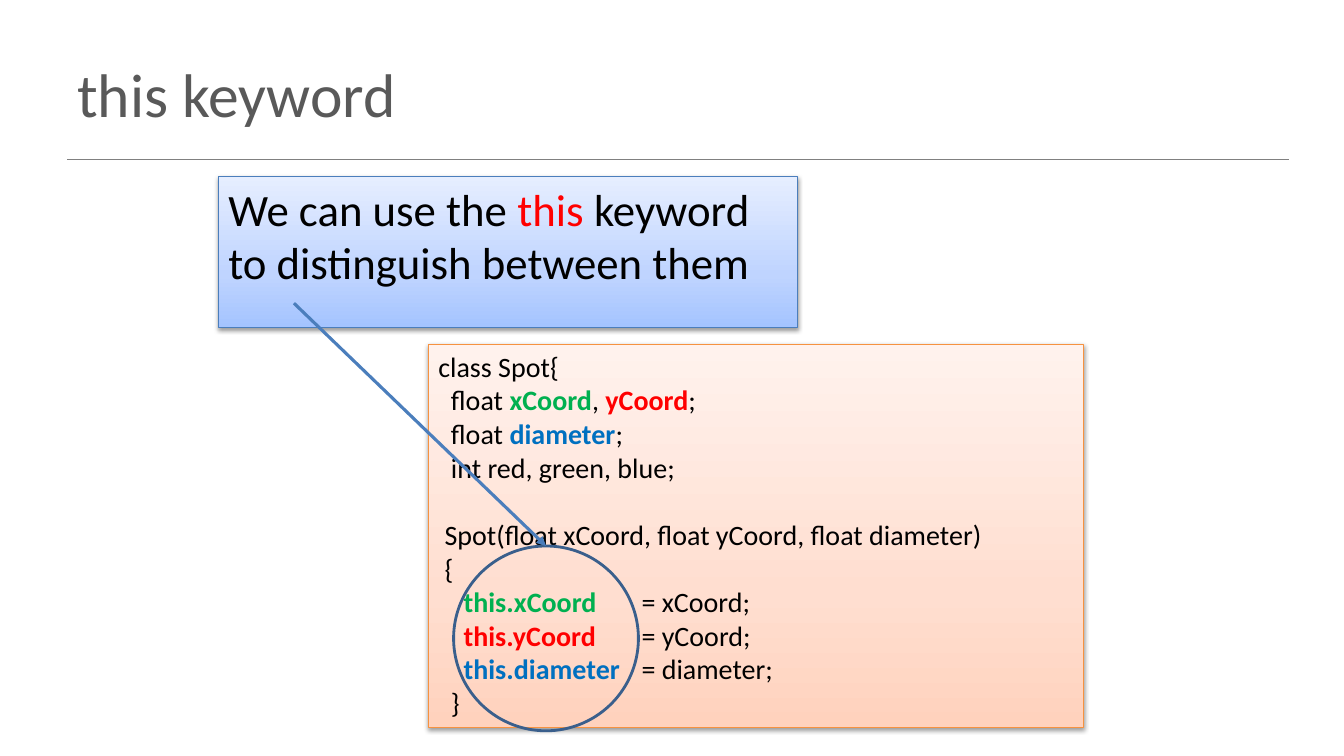
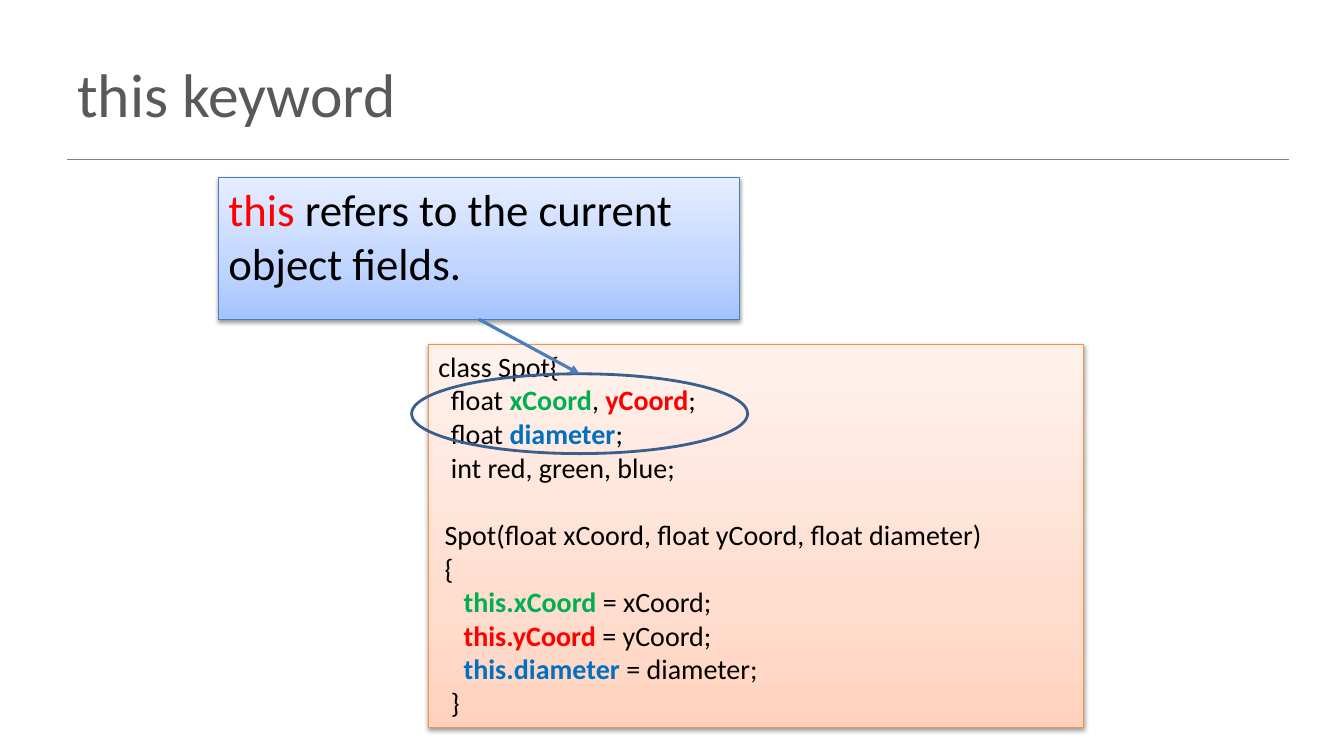
import copy
import dataclasses

import lxml.etree
import pptx
import pptx.dml.color
import pptx.enum.shapes
import pptx.enum.text
import pptx.oxml.ns
import pptx.util

SHAPE = pptx.enum.shapes.MSO_SHAPE
ANCHOR = pptx.enum.text.MSO_ANCHOR
COLUMNS, ROWS = 160, 90  # the slide as a grid of twelfths of an inch
CELL = pptx.util.Inches(1 / 12)


@dataclasses.dataclass(frozen=True)
class Theme:
    font: str = "Calibri"
    title_size: int = 44
    callout_size: int = 32
    code_size: int = 20
    title: str = "595959"
    rule: str = "808080"
    text: str = "000000"
    green: str = "00B050"
    red: str = "FF0000"
    blue: str = "0070C0"
    arrow: str = "4B7EBC"
    ring: str = "3A5F8C"
    code_line: str = "F69240"
    code_fill: tuple = ("FFD2BD", "FFDED0", "FFF2ED")
    callout_fill: tuple = ("A4C4FF", "BFD4FF", "E6EEFF")
    fill_positions: tuple = (0, 0.35, 1)


THEME = Theme()


def rgb(colour):
    return pptx.dml.color.RGBColor.from_string(colour)


def cells(*counts):
    return [round(count * CELL) for count in counts]


def add_xml(parent, tag, **attributes):
    return lxml.etree.SubElement(parent, pptx.oxml.ns.qn(tag), **attributes)


class SlideBuilder:
    """Holds the theme and the current slide; places are in grid cells."""

    def __init__(self, deck, theme):
        self.deck, self.theme, self.page = deck, theme, None

    def new_page(self, title):
        self.page = self.deck.slides.add_slide(self.deck.slide_layouts[5])
        box = self.page.shapes.title
        box.left, box.top, box.width, box.height = cells(8, 3.6, 144, 15)
        box.text_frame.vertical_anchor = ANCHOR.MIDDLE
        para = box.text_frame.paragraphs[0]
        para.alignment = pptx.enum.text.PP_ALIGN.LEFT
        self.span(para, title, self.theme.title_size, self.theme.title)
        self.line((8, 19), (153.4, 19), self.theme.rule, 1)

    def span(self, para, text, size, colour, bold=False):
        span = para.add_run()
        span.text = text
        span.font.name = self.theme.font
        span.font.size = pptx.util.Pt(size)
        span.font.bold = bold
        span.font.color.rgb = rgb(colour)

    def line(self, start, end, colour, width):
        line = self.page.shapes.add_connector(
            pptx.enum.shapes.MSO_CONNECTOR.STRAIGHT, *cells(*start, *end))
        line.line.color.rgb = rgb(colour)
        line.line.width = pptx.util.Pt(width)
        add_xml(line._element.spPr, "a:effectLst")
        return line

    def arrow(self, start, target, source=None):
        """Points at the top of target, from a place or the bottom of source."""
        arrow = self.line(start, start, self.theme.arrow, 2.25)
        if source is not None:
            arrow.begin_connect(source, 2)
        arrow.end_connect(target, 0)
        add_xml(arrow.line._get_or_add_ln(), "a:tailEnd", type="triangle")

    def shape(self, kind, place, colour, width):
        shape = self.page.shapes.add_shape(kind, *cells(*place))
        shape.shadow.inherit = False
        shape.line.color.rgb = rgb(colour)
        shape.line.width = pptx.util.Pt(width)
        return shape

    def ring(self, *place):
        ring = self.shape(SHAPE.OVAL, place, self.theme.ring, 2)
        ring.fill.background()
        return ring

    def panel(self, place, colour, fill):
        """A rectangle with a three-stop gradient and a soft shadow."""
        box = self.shape(SHAPE.RECTANGLE, place, colour, 0.75)
        box.fill.gradient()
        box.fill.gradient_angle = 90
        properties = box._element.spPr
        stops = properties.find(".//" + pptx.oxml.ns.qn("a:gsLst"))
        stops.append(copy.deepcopy(stops[-1]))
        for stop, shade, position in zip(
                box.fill.gradient_stops, fill, self.theme.fill_positions):
            stop.color.rgb = rgb(shade)
            stop.position = position
        shadow = add_xml(
            properties.find(pptx.oxml.ns.qn("a:effectLst")), "a:outerShdw",
            blurRad="40000", dist="20000", dir="5400000", rotWithShape="0")
        black = add_xml(shadow, "a:srgbClr", val=self.theme.text)
        add_xml(black, "a:alpha", val="38000")
        box.text_frame.word_wrap = True
        box.text_frame.vertical_anchor = ANCHOR.TOP
        return box

    def add_lines(self, box, lines, size, bold_colours=False):
        """Each line is a list of (text, colour); an empty line is a gap."""
        frame = box.text_frame
        para, gap = None, False
        for line in lines:
            if not line:
                gap = True
                continue
            para = frame.add_paragraph() if para else frame.paragraphs[0]
            para.alignment = pptx.enum.text.PP_ALIGN.LEFT
            if gap:
                para.space_before = pptx.util.Pt(size * 1.2)
                gap = False
            if any("\t" in text for text, _ in line):
                tabs = add_xml(para._p.get_or_add_pPr(), "a:tabLst")
                add_xml(tabs, "a:tab", pos=str(cells(24.2)[0]), algn="l")
            for text, colour in line:
                bold = bold_colours and colour != self.theme.text
                self.span(para, text, size, colour, bold)

    def callout(self, place, spans):
        box = self.panel(place, self.theme.arrow, self.theme.callout_fill)
        self.add_lines(box, [spans], self.theme.callout_size)
        return box

    def code(self, lines):
        box = self.panel((51, 41, 78, 45.6), self.theme.code_line,
                         self.theme.code_fill)
        self.add_lines(box, lines, self.theme.code_size, bold_colours=True)


def spot_class(gap):
    """The class listing, with gap between each field and its equals sign."""
    plain = THEME.text
    fields = {"xCoord": THEME.green, "yCoord": THEME.red,
              "diameter": THEME.blue}
    assignments = [
        [("    ", plain), (f"this.{name}", colour),
         (f"{gap}= {name};", plain)]
        for name, colour in fields.items()]
    return [
        [("class Spot{", plain)],
        [("  float ", plain), ("xCoord", fields["xCoord"]), (", ", plain),
         ("yCoord", fields["yCoord"]), (";", plain)],
        [("  float ", plain), ("diameter", fields["diameter"]),
         (";", plain)],
        [("  int red, green, blue;", plain)],
        [],
        [(" Spot(float xCoord, float yCoord, float diameter)", plain)],
        [(" {", plain)],
        *assignments,
        [("  }", plain)],
    ]


def main():
    deck = pptx.Presentation()
    deck.slide_width, deck.slide_height = cells(COLUMNS, ROWS)
    builder = SlideBuilder(deck, THEME)
    keyword = ("this", THEME.red)

    # Telling fields and parameters apart
    builder.new_page("this keyword")
    builder.code(spot_class(gap="\t"))
    builder.callout((26, 21, 69, 18), [
        ("We can use the ", THEME.text), keyword,
        (" keyword to distinguish between them", THEME.text)])
    assigned = builder.ring(54, 65, 22, 22)
    builder.arrow((35, 36.1), assigned)

    # What the keyword refers to
    builder.new_page("this keyword")
    builder.code(spot_class(gap=" "))
    meaning = builder.callout((26, 21.1, 62, 16.9), [
        keyword, (" refers to the current object fields.", THEME.text)])
    declared = builder.ring(49, 44.5, 40, 9.5)
    builder.arrow((57, 38), declared, source=meaning)

    deck.save("out.pptx")


if __name__ == "__main__":
    main()
